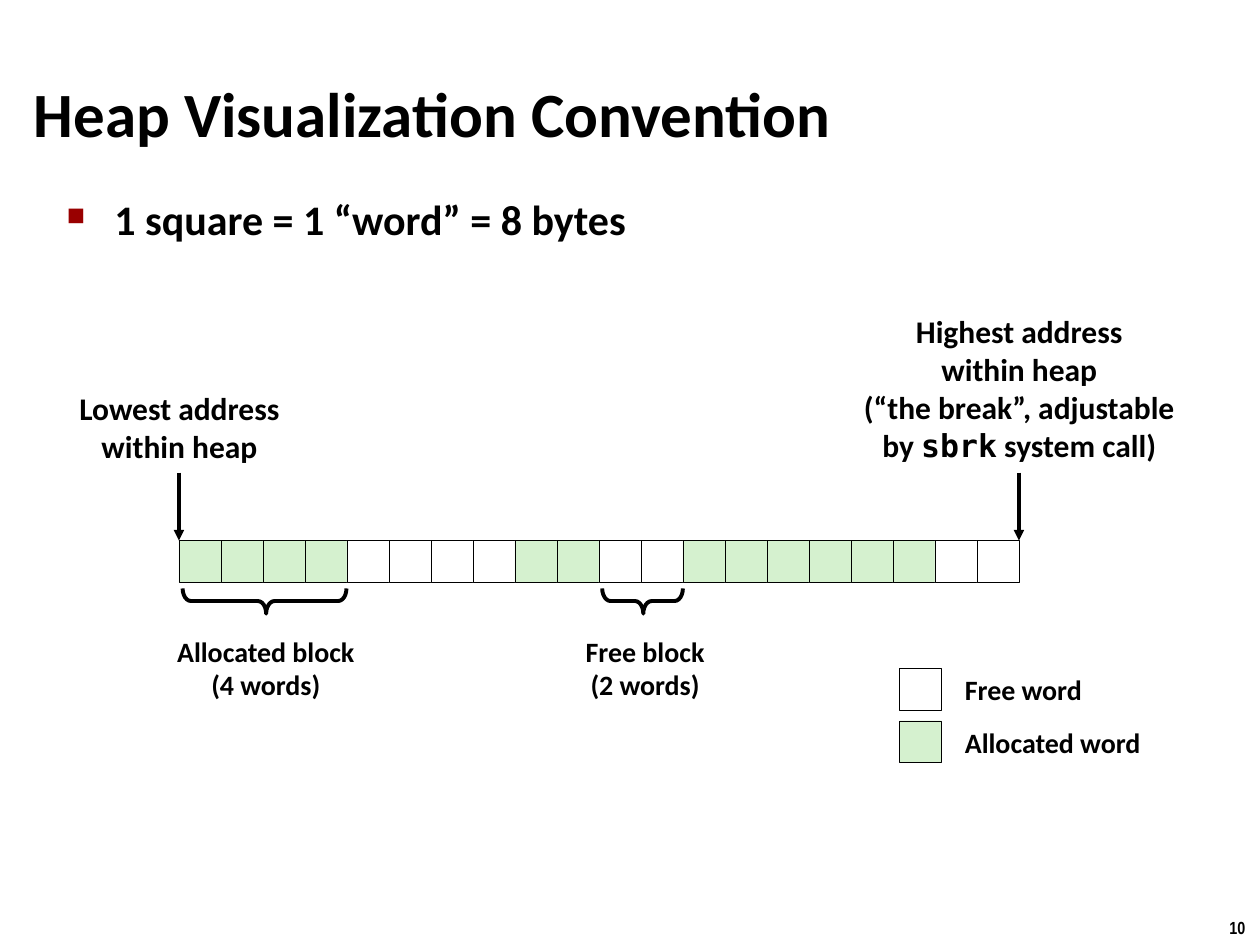
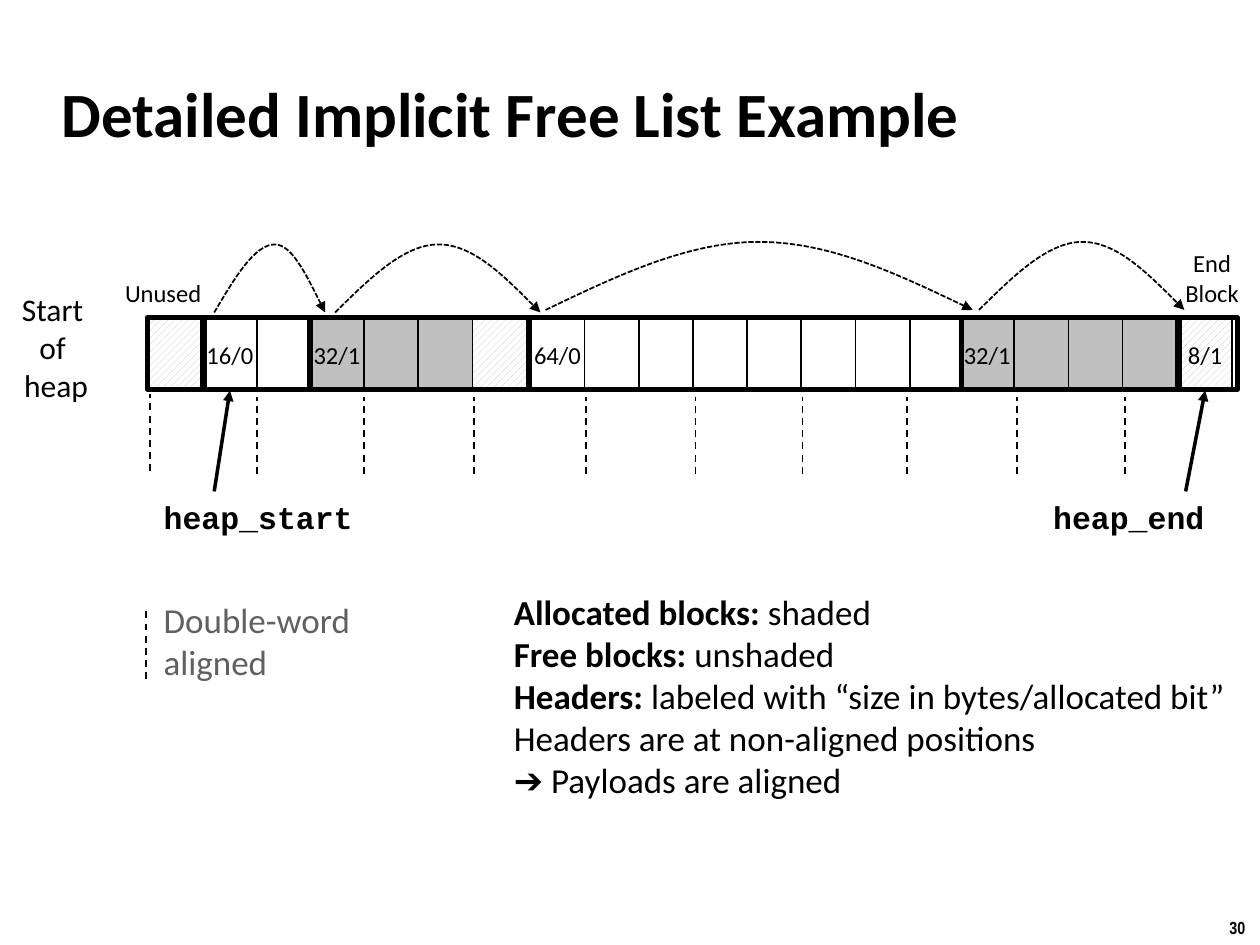
from dataclasses import dataclass

from lxml.etree import SubElement
from pptx import Presentation
from pptx.dml.color import RGBColor
from pptx.enum.dml import MSO_LINE, MSO_PATTERN
from pptx.enum.shapes import MSO_CONNECTOR, MSO_SHAPE
from pptx.enum.text import MSO_ANCHOR, MSO_AUTO_SIZE, PP_ALIGN
from pptx.oxml.ns import qn
from pptx.util import Inches, Pt


@dataclass(frozen=True)
class Theme:
    black: RGBColor = RGBColor(0, 0, 0)
    white: RGBColor = RGBColor(255, 255, 255)
    green: RGBColor = RGBColor(0xD5, 0xF1, 0xCF)
    shade: RGBColor = RGBColor(0xC0, 0xC0, 0xC0)
    gray: RGBColor = RGBColor(0x60, 0x60, 0x60)
    bullet: str = "990000"
    font: str = "Calibri"
    code: str = "Courier New"
    mono: str = "DejaVu Sans Mono"
    number: str = "Arial Narrow"
    title: int = 36
    body: int = 24
    note: int = 20
    label: int = 18
    caption: int = 16
    cell: int = 14
    footer: int = 10


THEME = Theme()
HATCH = "hatch"


# Text
def write(frame, text, size=THEME.label, font=THEME.font, color=THEME.black, bold=False,
          align=PP_ALIGN.LEFT, anchor=MSO_ANCHOR.TOP, wrap=False, grow=True,
          spacing=None, bullet=None):
    """Fill a frame; text is a string or a list of paragraphs, each a string
    or a list of (text, changes) spans."""
    frame.word_wrap = wrap
    frame.auto_size = MSO_AUTO_SIZE.SHAPE_TO_FIT_TEXT if grow else MSO_AUTO_SIZE.NONE
    frame.vertical_anchor = anchor
    for index, spans in enumerate([text] if isinstance(text, str) else text):
        para = frame.add_paragraph() if index else frame.paragraphs[0]
        if bullet:
            add_bullet(para, bullet)
        para.alignment = align
        if spacing:
            para.line_spacing = spacing
        for words, changes in [(spans, {})] if isinstance(spans, str) else spans:
            for row, piece in enumerate(words.split("\v")):
                if row:
                    para.add_line_break()
                span = para.add_run()
                span.text = piece
                span.font.size = Pt(size)
                span.font.name = changes.get("font", font)
                span.font.bold = changes.get("bold", bold)
                span.font.color.rgb = color


def add_bullet(para, sign, indent=0.38):
    props = para._p.get_or_add_pPr()
    props.set("marL", str(Inches(indent)))
    props.set("indent", str(-Inches(indent)))
    SubElement(SubElement(props, qn("a:buClr")), qn("a:srgbClr"), val=THEME.bullet)
    SubElement(props, qn("a:buSzPct"), val="60000")
    SubElement(props, qn("a:buChar"), char=sign)


def add_text(page, left, top, width, height, text, **style):
    box = page.shapes.add_textbox(Inches(left), Inches(top), Inches(width), Inches(height))
    write(box.text_frame, text, **style)
    return box


# Shapes and lines
def add_outline(page, kind, left, top, width, height, fill=None, weight=1.0):
    shape = page.shapes.add_shape(kind, Inches(left), Inches(top),
                                  Inches(width), Inches(height))
    shape.shadow.inherit = False
    if fill is None:
        shape.fill.background()
    elif fill == HATCH:
        shape.fill.patterned()
        shape.fill.pattern = MSO_PATTERN.WIDE_UPWARD_DIAGONAL
        shape.fill.fore_color.rgb = THEME.shade
        shape.fill.back_color.rgb = THEME.white
    else:
        shape.fill.solid()
        shape.fill.fore_color.rgb = fill
    shape.line.color.rgb = THEME.black
    shape.line.width = Pt(weight)
    return shape


def add_box(page, left, top, width, height, **look):
    return add_outline(page, MSO_SHAPE.RECTANGLE, left, top, width, height, **look)


def add_brace(page, left, top, width, height):
    """Curly brace that opens upwards; the preset is turned a quarter."""
    brace = add_outline(page, MSO_SHAPE.LEFT_BRACE, left + (width - height) / 2,
                        top - (width - height) / 2, height, width, weight=2.25)
    brace.rotation = 270
    brace.adjustments[0] = 0.33
    brace.adjustments[1] = 0.51


def style_line(line, weight, dash=None, arrow=False):
    line.color.rgb = THEME.black
    line.width = Pt(weight)
    if dash:
        line.dash_style = dash
    if arrow:
        SubElement(line._get_or_add_ln(), qn("a:tailEnd"), type="triangle")


def add_line(page, start, end, weight=1, dash=None, arrow=False, target=None):
    """Straight line; target is a box whose bottom side it is joined to."""
    line = page.shapes.add_connector(MSO_CONNECTOR.STRAIGHT,
                                     *(Inches(value) for value in (*start, *end)))
    SubElement(line.element.spPr, qn("a:effectLst"))
    style_line(line.line, weight, dash, arrow)
    if target is not None:
        line.end_connect(target, 2)


def add_arc(page, left, top, width, peak, height=0.54):
    """Dashed arrow that rises to its peak and falls again."""
    fall = width - peak
    controls = [(peak / 3, height / 2), (peak * 2 / 3, 0), (peak, 0),
                (peak + fall / 3, 0), (peak + fall * 2 / 3, height / 2), (width, height)]
    builder = page.shapes.build_freeform(Inches(left), Inches(top + height))
    builder.add_line_segments([(Inches(left + x), Inches(top + y)) for x, y in controls],
                              close=False)
    arc = builder.convert_to_shape()
    arc.shadow.inherit = False
    arc.fill.background()
    # Each three straight segments become one Bezier segment
    outline = arc.element.xpath(".//a:path")[0]
    segments = outline.findall(qn("a:lnTo"))
    for first in range(0, len(segments), 3):
        curve = SubElement(outline, qn("a:cubicBezTo"))
        for segment in segments[first:first + 3]:
            curve.append(segment[0])
            outline.remove(segment)
    style_line(arc.line, 1, MSO_LINE.SQUARE_DOT, arrow=True)


# Frame shared by the slides
def add_page(deck, title, left, width, number):
    page = deck.slides.add_slide(deck.slide_layouts[6])
    add_text(page, 9.66, 7.23, 0.34, 0.27, number, size=THEME.footer,
             font=THEME.number, bold=True)
    add_text(page, left, 0.48, width, 0.83, title, size=THEME.title, bold=True,
             anchor=MSO_ANCHOR.MIDDLE, wrap=True, grow=False)
    return page


def heap_convention(deck):
    page = add_page(deck, "Heap Visualization Convention", 0.17, 9.83, "10")
    add_text(page, 0.43, 1.49, 8.64, 5.44, "1 square = 1 “word” = 8 bytes",
             size=THEME.body, bold=True, wrap=True, grow=False, bullet="■")

    # Heap words: A allocated, F free
    side, heap_left, heap_top = 1 / 3, 1.42, 4.29
    fills = {"A": THEME.green, "F": THEME.white}
    words = "AAAAFFFFAAFFAAAAAAFF"
    for index, word in enumerate(words):
        add_box(page, heap_left + index * side, heap_top, side, side,
                fill=fills[word], weight=0.25)

    # Blocks and legend
    caption = dict(size=THEME.caption, bold=True, spacing=0.98)
    for left, width, text in ((1.3, 1.62, ["Allocated block", "(4 words)"]),
                              (4.52, 1.2, ["Free block", "(2 words)"])):
        add_text(page, left, 5, width, 0.63, text, align=PP_ALIGN.CENTER, **caption)
    for top, word, width, text in ((5.3, "F", 1.14, "Free word"),
                                   (5.72, "A", 1.61, "Allocated word")):
        add_box(page, 7.14, top, side, side, fill=fills[word], weight=0.25)
        add_text(page, 7.56, top, width, 0.37, text, **caption)
    add_brace(page, 1.45, 4.67, 1.3, 0.2)
    add_brace(page, 4.78, 4.67, 0.64, 0.2)

    # Both ends of the heap
    for x in (heap_left, heap_left + len(words) * side):
        add_line(page, (x, 3.75), (x, heap_top), weight=2, arrow=True)
    ends = dict(bold=True, align=PP_ALIGN.CENTER, wrap=True)
    add_text(page, 0.51, 3.04, 1.83, 0.71, "Lowest address within heap", **ends)
    add_text(page, 6.72, 2.43, 2.74, 1.31,
             ["Highest address\vwithin heap",
              [("(“the break”, adjustable by ", {}), ("sbrk", {"font": THEME.mono}),
               (" system call)", {})]], **ends)


def implicit_free_list(deck):
    page = add_page(deck, "Detailed Implicit Free List Example", 0.39, 8.3, "30")
    centered = dict(align=PP_ALIGN.CENTER, anchor=MSO_ANCHOR.MIDDLE)

    # Blocks: frame left, frame width, first cell left, header, cell fills
    free, used = THEME.white, THEME.shade
    blocks = ((1.17, 0.45, 1.18, None, [HATCH]),
              (1.61, 0.85, 1.61, "16/0", [free] * 2),
              (2.46, 1.74, 2.46, "32/1", [used] * 3 + [HATCH]),
              (4.2, 3.43, 4.21, "64/0", [free] * 8),
              (7.63, 1.73, 7.62, "32/1", [used] * 4),
              (9.35, 0.47, 9.35, "8/1", [HATCH]))
    headers = []
    for _, _, cell_left, header, fills in blocks:
        for index, fill in enumerate(fills):
            cell = add_box(page, cell_left + index * 0.43, 2.53, 0.43, 0.57, fill=fill)
            if index == 0:
                headers.append(cell)
                if header:
                    write(cell.text_frame, header, size=THEME.cell, grow=False, **centered)
    for left, width, *_ in blocks:
        add_box(page, left, 2.52, width, 0.57, weight=3)

    # Links from header to header
    for left, top, width, peak in ((1.7, 1.94, 0.88, 0.48), (2.66, 1.94, 1.63, 0.82),
                                   (4.33, 1.92, 3.39, 1.69), (7.77, 1.92, 1.63, 0.82)):
        add_arc(page, left, top, width, peak)

    # Alignment marks and their key
    add_line(page, (1.19, 3.74), (1.19, 3.13), dash=MSO_LINE.DASH)
    for x in (2.04, 2.89, 3.76, 4.65, 5.52, 6.37, 7.2, 8.07, 8.93):
        add_line(page, (x, 3.76), (x, 3.15), dash=MSO_LINE.DASH)
    add_line(page, (1.16, 5.39), (1.16, 4.84), dash=MSO_LINE.DASH)
    add_text(page, 1.2, 4.7, 2.04, 0.77, ["Double-word", "aligned"], size=THEME.note,
             color=THEME.gray, anchor=MSO_ANCHOR.MIDDLE, wrap=True)

    # Labels around the heap
    add_text(page, 0.07, 2.25, 0.75, 1.01, ["Start ", "of ", "heap"], **centered)
    add_text(page, 0.89, 2.15, 0.81, 0.34, "Unused", size=THEME.cell, **centered)
    add_text(page, 9.3, 1.92, 0.64, 0.57, ["End", "Block"], size=THEME.cell, **centered)

    # Heap pointers
    for x, cell, left, width, name in ((1.7, headers[1], 1.2, 1.71, "heap_start"),
                                       (9.41, headers[-1], 8.26, 1.41, "heap_end")):
        add_line(page, (x, 3.9), (x + 0.13, 3.1), weight=2, arrow=True, target=cell)
        add_text(page, left, 3.9, width, 0.4, name, font=THEME.code, bold=True)

    # Reading guide
    strong = {"bold": True}
    add_text(page, 3.98, 4.64, 5.9, 1.78,
             [[("Allocated blocks: ", strong), ("shaded", {})],
              [("Free blocks: ", strong), ("unshaded", {})],
              [("Headers: ", strong), ("labeled with “size in bytes/allocated bit”", {})],
              "Headers are at non-aligned positions",
              "➔ Payloads are aligned"], size=THEME.note)


def main():
    deck = Presentation()
    deck.slide_width, deck.slide_height = Inches(10), Inches(7.5)
    heap_convention(deck)
    implicit_free_list(deck)
    deck.save("out.pptx")


if __name__ == "__main__":
    main()
